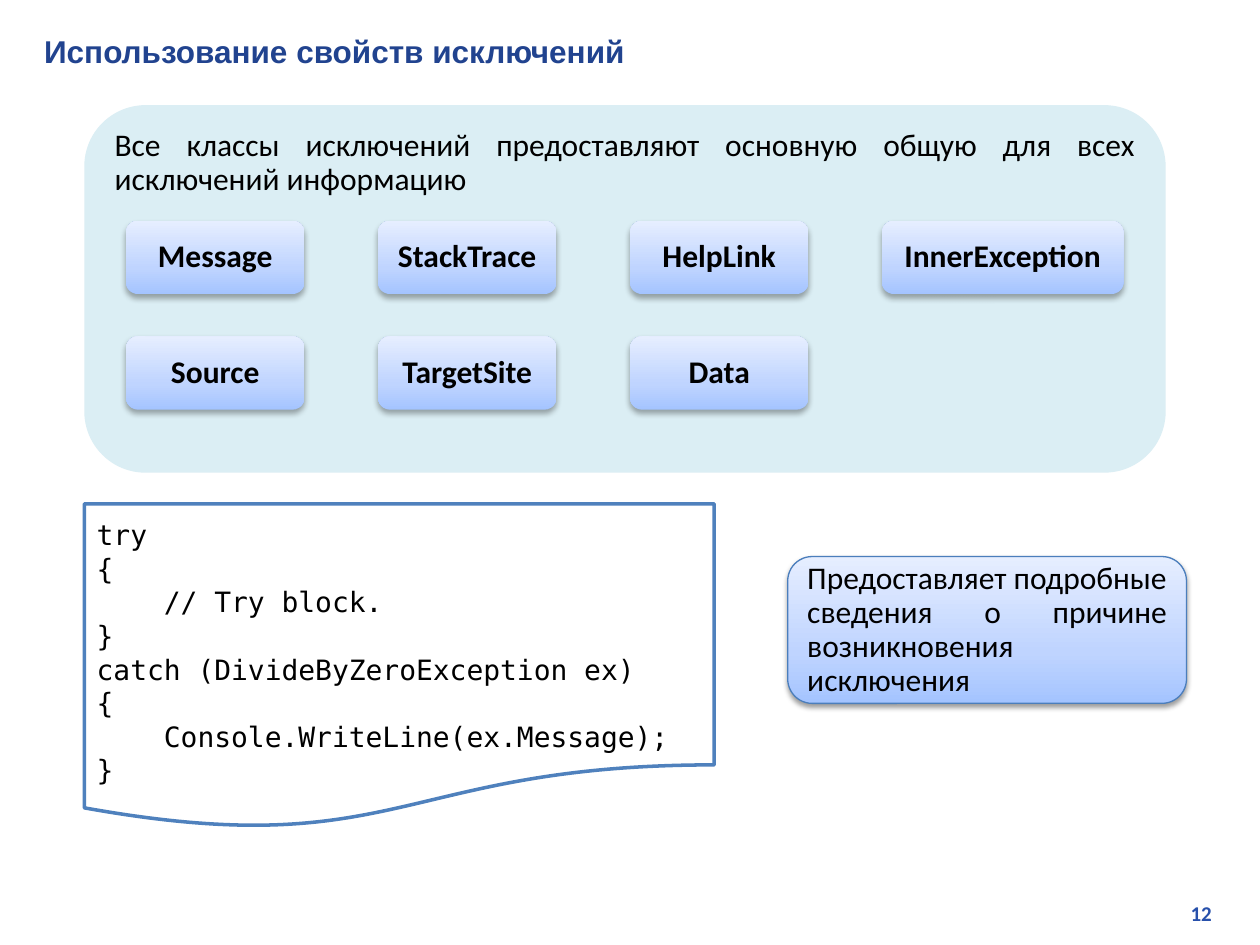
from copy import deepcopy

from pptx import Presentation
from pptx import util as u
from pptx.dml.color import RGBColor
from pptx.enum import shapes, text
from pptx.oxml import ns, parse_xml

TITLE = RGBColor(0x21, 0x43, 0x8F)
NUMBER = RGBColor(0x27, 0x50, 0xAB)
BLACK = RGBColor(0, 0, 0)
WHITE = RGBColor(0xFF, 0xFF, 0xFF)
PANEL = RGBColor(0xDB, 0xEE, 0xF4)
CODE_LINE = RGBColor(0x4F, 0x81, 0xBD)
NOTE_LINE = RGBColor(0x4B, 0x7E, 0xBC)
GRADIENT = (
    (0, RGBColor(0xA4, 0xC4, 0xFF)),
    (0.35, RGBColor(0xBF, 0xD4, 0xFF)),
    (1, RGBColor(0xE6, 0xEE, 0xFF)),
)

PROPERTIES = (
    ("Message", "StackTrace", "HelpLink", "InnerException"),
    ("Source", "TargetSite", "Data"),
)
CODE = """try
{
    // Try block.
}
catch (DivideByZeroException ex)
{
    Console.WriteLine(ex.Message);
}"""


def write(tf, content, font="Calibri", size=18, color=BLACK, bold=False,
          align=text.PP_ALIGN.LEFT, anchor=text.MSO_ANCHOR.MIDDLE, spacing=None):
    tf.word_wrap = True
    tf.vertical_anchor = anchor
    for i, line in enumerate(content.split("\n")):
        p = tf.add_paragraph() if i else tf.paragraphs[0]
        p.alignment = align
        p.line_spacing = spacing
        r = p.add_run()
        r.text = line
        r.font.name = font
        r.font.size = u.Pt(size)
        r.font.bold = bold
        r.font.color.rgb = color


class SlideBuilder:
    def __init__(self, prs):
        self.slide = prs.slides.add_slide(prs.slide_layouts[6])

    def label(self, box, content, **style):
        sp = self.slide.shapes.add_textbox(*map(u.Cm, box))
        write(sp.text_frame, content, **style)

    def shape(self, kind, box, content, fill=None, line=None, width=0.75, **style):
        sp = self.slide.shapes.add_shape(kind, *map(u.Cm, box))
        sp.shadow.inherit = False
        if fill is not None:
            sp.fill.solid()
            sp.fill.fore_color.rgb = fill
        if line is None:
            sp.line.fill.background()
        else:
            sp.line.color.rgb = line
            sp.line.width = u.Pt(width)
        write(sp.text_frame, content, **style)
        return sp

    def button(self, box, content, shadow=(32, 3.5, 2.2), **style):
        sp = self.shape(shapes.MSO_SHAPE.ROUNDED_RECTANGLE, box, content,
                        spacing=0.9, **style)
        sp.fill.gradient()
        sp.fill.gradient_angle = 90
        props = sp._element.spPr
        stops = props.find(".//" + ns.qn("a:gsLst"))
        stops.append(deepcopy(stops[0]))
        for stop, (position, color) in zip(sp.fill.gradient_stops, GRADIENT):
            stop.position = position
            stop.color.rgb = color
        alpha, blur, distance = shadow
        props.find(ns.qn("a:effectLst")).append(parse_xml(
            f'<a:outerShdw {ns.nsdecls("a")} blurRad="{u.Pt(blur)}" '
            f'dist="{u.Pt(distance)}" dir="5400000" rotWithShape="0">'
            f'<a:srgbClr val="000000"><a:alpha val="{alpha * 1000}"/></a:srgbClr>'
            '</a:outerShdw>'))

    def code(self, box, content):
        sp = self.shape(shapes.MSO_SHAPE.FLOWCHART_DOCUMENT, box, content,
                        fill=WHITE, line=CODE_LINE, width=2, size=16,
                        font="DejaVu Sans Mono", anchor=text.MSO_ANCHOR.TOP)
        sp.text_frame.margin_top = u.Cm(0.28)
        sp.text_frame.margin_bottom = 0


def main():
    prs = Presentation()
    prs.slide_width, prs.slide_height = u.Cm(25.4), u.Cm(19.05)
    s = SlideBuilder(prs)
    s.label((19.3, 18.03, 5.38, 0.76), "12", size=12, color=NUMBER, bold=True,
            align=text.PP_ALIGN.RIGHT, anchor=text.MSO_ANCHOR.TOP)
    s.label((0.64, 0.51, 24.23, 1.02), "Использование свойств исключений",
            font="Arial", color=TITLE, bold=True)
    s.shape(shapes.MSO_SHAPE.ROUNDED_RECTANGLE, (1.7, 2.12, 21.8, 7.41),
            "Все классы исключений предоставляют основную общую для всех "
            "исключений информацию", fill=PANEL, spacing=0.9,
            align=text.PP_ALIGN.JUSTIFY, anchor=text.MSO_ANCHOR.TOP)
    for row, names in enumerate(PROPERTIES):
        for column, name in enumerate(names):
            width = 4.87 if column == 3 else 3.6
            s.button((2.54 + 5.08 * column, 4.45 + 2.33 * row, width, 1.48),
                     name, bold=True, align=text.PP_ALIGN.CENTER)
    s.code((1.7, 10.16, 12.7, 6.56), CODE)
    s.button((15.88, 11.22, 8.04, 2.96),
             "Предоставляет подробные сведения о причине возникновения исключения",
             shadow=(38, 3.1, 1.6), line=NOTE_LINE, align=text.PP_ALIGN.JUSTIFY)
    prs.save("out.pptx")


if __name__ == "__main__":
    main()
